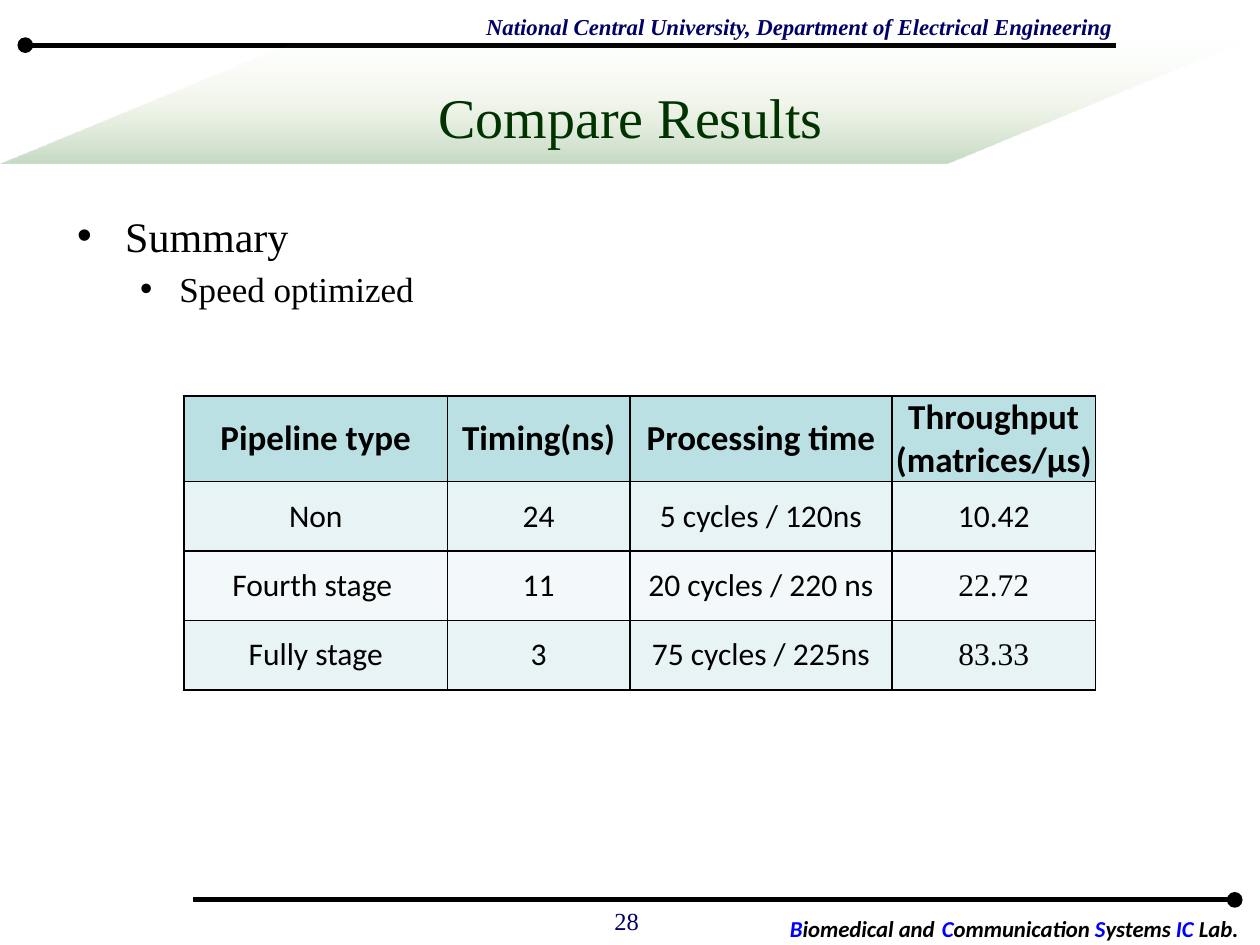
import pptx
import pptx.util
import pptx.dml.color
import pptx.enum.shapes
import pptx.enum.text
import pptx.oxml
import pptx.oxml.ns
from pptx.util import Cm

COLORS = {"ink": "000000", "navy": "000066", "blue": "0000FF", "green": "003300",
          "white": "FFFFFF", "header": "BBE0E3", "odd": "E7F3F4", "even": "F3F9FA"}
BANNER_STOPS = [(0, "DDEBCF", 0), (50, "9CB86E", 12), (100, "156B13", 25)]
SERIF, SANS = "Times New Roman", "Calibri"
ALIGN = pptx.enum.text.PP_ALIGN
ANCHOR = pptx.enum.text.MSO_ANCHOR
SHAPE = pptx.enum.shapes.MSO_SHAPE
ROWS = [
    ["Pipeline type", "Timing(ns)", "Processing time", "Throughput\n(matrices/µs)"],
    ["Non", "24", "5 cycles / 120ns", "10.42"],
    ["Fourth stage ", "11", "20 cycles / 220 ns", "22.72"],
    ["Fully stage", "3", "75 cycles / 225ns", "83.33"],
]
LAB_NAME = [("B", "blue"), ("iomedical and", "ink"), (" ", None), ("C", "blue"),
            ("ommunication ", "ink"), ("S", "blue"), ("ystems ", "ink"),
            ("IC", "blue"), (" Lab.", "ink")]


def rgb(name):
    """Return the named palette colour."""
    return pptx.dml.color.RGBColor.from_string(COLORS[name])


def xml(tag, content=""):
    """Parse one drawing element with its attributes and content."""
    space = pptx.oxml.ns.nsdecls("a")
    return pptx.oxml.parse_xml(f"<a:{tag} {space}>{content}</a:{tag.split()[0]}>")


def apply(target, values):
    """Set every attribute in the dict of format values."""
    for name, value in values.items():
        setattr(target, name, value)


def format_font(font, size, color, **values):
    """Give a font its size, colour and other format values."""
    apply(font, {"size": pptx.util.Pt(size), **values})
    font.color.rgb = rgb(color)


def place(shape, left, top, width, height):
    """Move and size a shape in centimetres."""
    apply(shape, {"left": Cm(left), "top": Cm(top),
                  "width": Cm(width), "height": Cm(height)})


def add_rule(page, start, end, height):
    """Draw a thick horizontal line with a round head."""
    rule = page.shapes.add_connector(pptx.enum.shapes.MSO_CONNECTOR.STRAIGHT,
                                     Cm(start), Cm(height), Cm(end), Cm(height))
    rule.line.width = pptx.util.Pt(3)
    rule.line.color.rgb = rgb("ink")
    rule.line._get_or_add_ln().append(xml('headEnd type="oval"'))
    rule._element.spPr.append(xml("effectLst"))


def add_label(page, text, bounds, align, wrap, size, **values):
    """Add a one-line navy text box."""
    box = page.shapes.add_textbox(*map(Cm, bounds))
    box.text_frame.word_wrap = wrap
    para = box.text_frame.paragraphs[0]
    para.alignment = align
    span = para.add_run()
    span.text = text
    format_font(span.font, size, "navy", name=SERIF, **values)


def add_banner(page):
    """Draw the fading parallelogram behind the title."""
    banner = page.shapes.add_shape(SHAPE.PARALLELOGRAM, Cm(0), Cm(0.71), Cm(25.4), Cm(2.59))
    banner.adjustments[0] = 2.44
    banner.shadow.inherit = False
    banner.line.fill.background()
    banner.fill.background()
    stops = "".join(
        f'<a:gs pos="{position * 1000}"><a:srgbClr val="{color}">'
        f'<a:alpha val="{alpha * 1000}"/></a:srgbClr></a:gs>'
        for position, color, alpha in BANNER_STOPS)
    gradient = xml("gradFill", f'<a:gsLst>{stops}</a:gsLst><a:lin ang="5400000" scaled="0"/>')
    properties = banner._element.spPr
    properties.replace(properties.find(pptx.oxml.ns.qn("a:noFill")), gradient)


def add_lab_name(page):
    """Add the lab name with coloured initials."""
    box = page.shapes.add_shape(SHAPE.RECTANGLE, Cm(15.49), Cm(18.14), Cm(9.91), Cm(0.81))
    box.shadow.inherit = False
    box.fill.solid()
    box.fill.fore_color.rgb = rgb("white")
    box.line.fill.background()
    apply(box.text_frame, {"word_wrap": True, "vertical_anchor": ANCHOR.TOP})
    para = box.text_frame.paragraphs[0]
    para.alignment = ALIGN.CENTER
    for text, color in LAB_NAME:
        span = para.add_run()
        span.text = text
        styled = color is not None
        format_font(span.font, 13 if styled else 18, color or "ink",
                    name=SANS, bold=styled, italic=styled)


def fill_title(page, text):
    """Write the title and bring it in front of the banner."""
    title = page.shapes.title
    place(title, 1.3, 0.76, 22.83, 3.18)
    title.text_frame.text = text
    apply(title.text_frame, {"auto_size": pptx.enum.text.MSO_AUTO_SIZE.NONE,
                             "vertical_anchor": ANCHOR.MIDDLE})
    para = title.text_frame.paragraphs[0]
    para.alignment = ALIGN.CENTER
    format_font(para.runs[0].font, 32, "green", name=SERIF)
    page.shapes.element.append(title.element)


def fill_list(page, items):
    """Write the bulleted list given as text, level, size, margin and hang."""
    body = page.placeholders[1]
    place(body, 1.3, 4.11, 22.86, 13.21)
    frame = body.text_frame
    frame.text = "\n".join(item[0] for item in items)
    apply(frame, {"auto_size": pptx.enum.text.MSO_AUTO_SIZE.NONE,
                  "vertical_anchor": ANCHOR.TOP})
    for para, (text, level, size, margin, hang) in zip(frame.paragraphs, items):
        apply(para, {"level": level,
                     "space_before": pptx.util.Pt(0.2 * size if level else 0)})
        properties = para._p.get_or_add_pPr()
        properties.set("marL", str(Cm(margin)))
        properties.set("indent", str(-Cm(hang)))
        properties.append(xml('buFont typeface="Arial"'))
        properties.append(xml('buChar char="•"'))
        format_font(para.runs[0].font, size, "ink", name=SERIF)
    page.shapes.element.append(body.element)


def format_cell(cell, text, fill, tight, **font):
    """Write a centred cell with a fill and thin black borders."""
    cell.text = text
    cell.vertical_anchor = ANCHOR.MIDDLE
    if tight:
        sides = ("left", "right", "top", "bottom")
        apply(cell, {f"margin_{side}": 0 for side in sides})
    for para in cell.text_frame.paragraphs:
        para.alignment = ALIGN.CENTER
        format_font(para.runs[0].font, color="ink", **font)
    cell.fill.solid()
    cell.fill.fore_color.rgb = rgb(fill)
    paint = f'<a:solidFill><a:srgbClr val="{COLORS["ink"]}"/></a:solidFill>'
    for index, side in enumerate("LRTB"):
        cell._tc.get_or_add_tcPr().insert(index, xml(f'ln{side} w="12700"', paint))


def add_results(page):
    """Add the comparison table."""
    widths, heights = [5.31, 3.68, 5.28, 4.11], [1.73, 1.4, 1.4, 1.4]
    table = page.shapes.add_table(len(ROWS), len(widths), Cm(3.71), Cm(7.98),
                                  Cm(sum(widths)), Cm(sum(heights))).table
    for column, width in zip(table.columns, widths):
        column.width = Cm(width)
    for row, height in zip(table.rows, heights):
        row.height = Cm(height)
    for r, texts in enumerate(ROWS):
        fill = "header" if r == 0 else ("even", "odd")[r % 2]
        for c, text in enumerate(texts):
            last = c == len(widths) - 1
            format_cell(table.cell(r, c), text, fill, last, size=18 if r else 20,
                        bold=r == 0, name=SERIF if last and r > 1 else SANS)


def main():
    """Build the slide and save it."""
    deck = pptx.Presentation()
    apply(deck, {"slide_width": Cm(25.4), "slide_height": Cm(19.05)})
    page = deck.slides.add_slide(deck.slide_layouts[1])
    add_rule(page, 0.51, 22.5, 0.91)
    add_label(page, "National Central University, Department of Electrical Engineering",
              (9.55, 0.13, 13.16, 0.81), ALIGN.LEFT, False, 13, bold=True, italic=True)
    add_banner(page)
    add_lab_name(page)
    add_rule(page, 24.89, 3.89, 18.14)
    fill_list(page, [("Summary", 0, 24, 0.97, 0.97),
                     ("Speed optimized", 1, 20, 2.06, 0.79)])
    fill_title(page, "Compare Results")
    add_label(page, "28", (9.7, 18.14, 3.43, 0.91), ALIGN.RIGHT, True, 14)
    add_results(page)
    deck.save("out.pptx")


if __name__ == "__main__":
    main()
